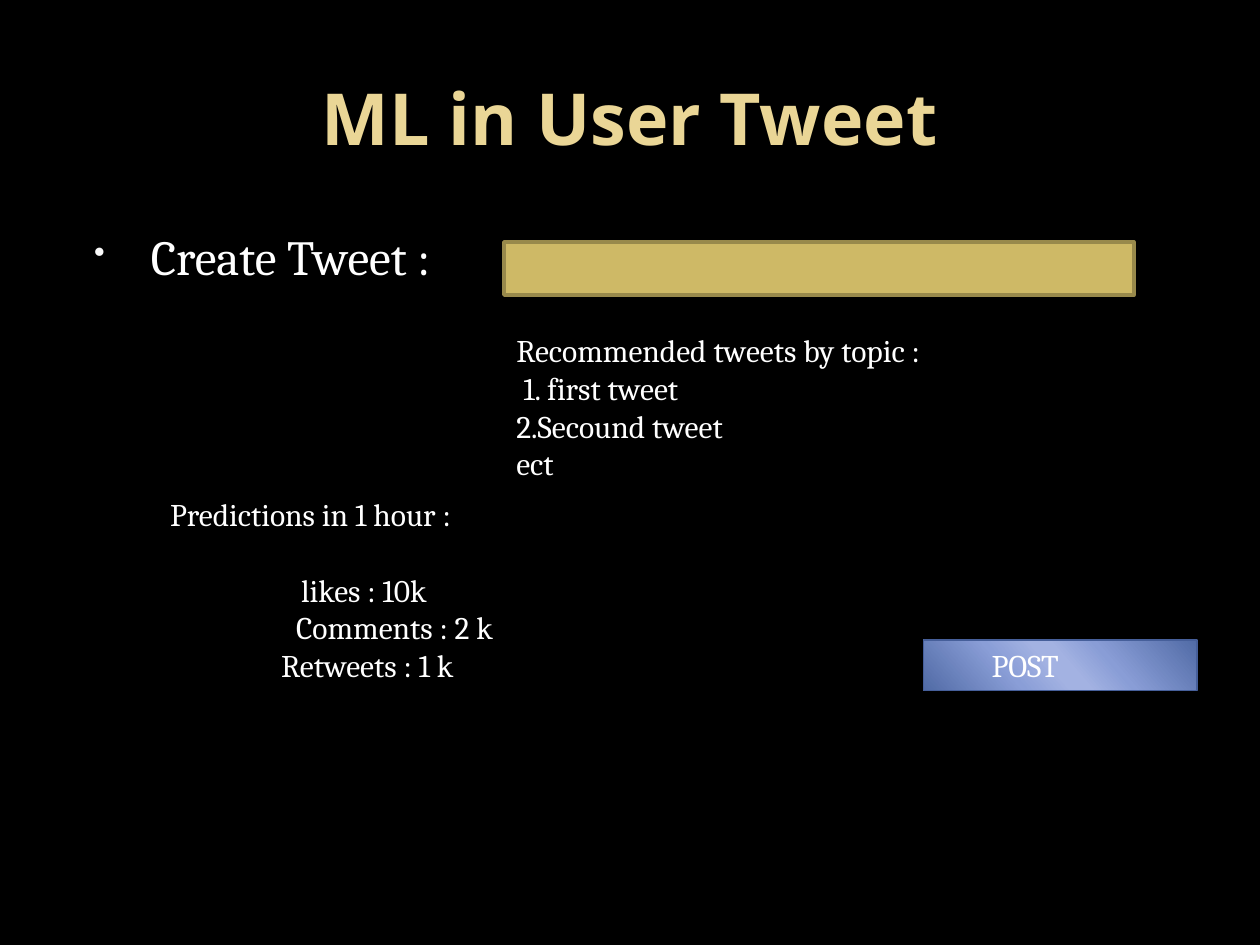
import pptx
import pptx.util
import pptx.dml.color
import pptx.enum.shapes
import pptx.enum.text
import pptx.oxml
import pptx.oxml.ns
from lxml import etree

Cm, Pt = pptx.util.Cm, pptx.util.Pt
RECT = pptx.enum.shapes.MSO_SHAPE.RECTANGLE
ALIGN = pptx.enum.text.PP_ALIGN
ANCHOR = pptx.enum.text.MSO_ANCHOR
qn = pptx.oxml.ns.qn

COLORS = {
    "back": "000000", "title": "EAD696", "text": "FFFFFF", "bullet": "F9F9F9",
    "field": "CEB966", "edge": "98894B", "rim": "465F9A",
    "dark": "516BA6", "mid": "899DD6", "light": "A3B2E2", "soft": "8A9ED7",
}
SHEEN = [(0, "dark"), (33, "mid"), (47, "light"), (53, "light"),
         (68, "soft"), (100, "dark")]


def color(name):
    return pptx.dml.color.RGBColor.from_string(COLORS[name])


def add_run(para, text, size=18, font="Cambria", tint="text", bold=False):
    run = para.add_run()
    run.text = text
    run.font.size = Pt(size)
    run.font.name = font
    run.font.bold = bold
    run.font.color.rgb = color(tint)


def add_box(slide, box):
    frame = slide.shapes.add_textbox(*map(Cm, box)).text_frame
    frame.word_wrap = True
    return frame


def add_rect(slide, box, rim, width):
    shape = slide.shapes.add_shape(RECT, *map(Cm, box))
    shape.shadow.inherit = False
    shape.line.color.rgb = color(rim)
    shape.line.width = Pt(width)
    return shape


def indent(para, left, first=0):
    props = para._p.get_or_add_pPr()
    props.set("marL", str(Cm(left)))
    props.set("indent", str(Cm(first)))
    return props


def add_sheen(shape, stops, angle):
    """Fill the shape with a linear gradient of several stops."""
    shape.fill.gradient()
    grad = shape._element.spPr.find(qn("a:gradFill"))
    group = grad.find(qn("a:gsLst"))
    for old in list(group):
        group.remove(old)
    for place, name in stops:
        stop = etree.SubElement(group, qn("a:gs"), pos=str(place * 1000))
        etree.SubElement(stop, qn("a:srgbClr"), val=COLORS[name])
    grad.find(qn("a:lin")).set("ang", str(angle * 60000))


def add_title(slide, box):
    frame = add_box(slide, box)
    frame.vertical_anchor = ANCHOR.MIDDLE
    para = frame.paragraphs[0]
    para.alignment = ALIGN.CENTER
    add_run(para, "ML in User Tweet", 41, "Noto Sans", "title", True)


def add_prompt(slide, box):
    """Bulleted label with the entry field to its right."""
    left, top, width, height = box
    para = add_box(slide, box).paragraphs[0]
    para.space_before = Pt(5.6)
    props = indent(para, 1.52, -1.14)
    tint = etree.SubElement(props, qn("a:buClr"))
    etree.SubElement(tint, qn("a:srgbClr"), val=COLORS["bullet"])
    etree.SubElement(props, qn("a:buSzPct"), val="65000")
    etree.SubElement(props, qn("a:buChar"), char="•")
    add_run(para, "Create Tweet :", 28)

    field = add_rect(slide, (left + 8.89, top + 0.43, 12.7, 1.07), "edge", 2)
    field.fill.solid()
    field.fill.fore_color.rgb = color("field")


def add_lines(slide, box, lines):
    """Stack lines given as (text, indent in cm, space before in points)."""
    frame = add_box(slide, box)
    for i, (text, left, gap) in enumerate(lines):
        para = frame.add_paragraph() if i else frame.paragraphs[0]
        indent(para, left)
        para.space_before = Pt(gap)
        add_run(para, text)


def add_button(slide, box):
    shape = add_rect(slide, box, "rim", 0.75)
    add_sheen(shape, SHEEN, 139)
    frame = shape.text_frame
    frame.vertical_anchor = ANCHOR.TOP
    para = frame.paragraphs[0]
    para.alignment = ALIGN.LEFT
    indent(para, 1.12)
    add_run(para, "POST")


def main():
    deck = pptx.Presentation()
    deck.slide_width, deck.slide_height = Cm(25.4), Cm(19.05)
    slide = deck.slides.add_slide(deck.slide_layouts[6])
    slide.background.fill.solid()
    slide.background.fill.fore_color.rgb = color("back")

    add_title(slide, (1.27, 0.76, 22.86, 3.18))
    add_prompt(slide, (1.27, 4.45, 22.86, 13.08))
    add_lines(slide, (3.18, 9.86, 13.34, 5.64), [
        ("Predictions in 1 hour :", 0, 0),
        ("likes : 10k", 2.64, 21.5),
        ("Comments : 2 k", 2.54, 0),
        ("Retweets : 1 k", 2.24, 0),
    ])
    add_lines(slide, (10.16, 6.55, 13.34, 3.33), [
        ("Recommended tweets by topic :", 0, 0),
        ("1. first tweet", 0.14, 0),
        ("2.Secound tweet", 0, 0),
        ("ect", 0, 0),
    ])
    add_button(slide, (18.62, 12.9, 5.51, 1.02))
    deck.save("out.pptx")


if __name__ == "__main__":
    main()
